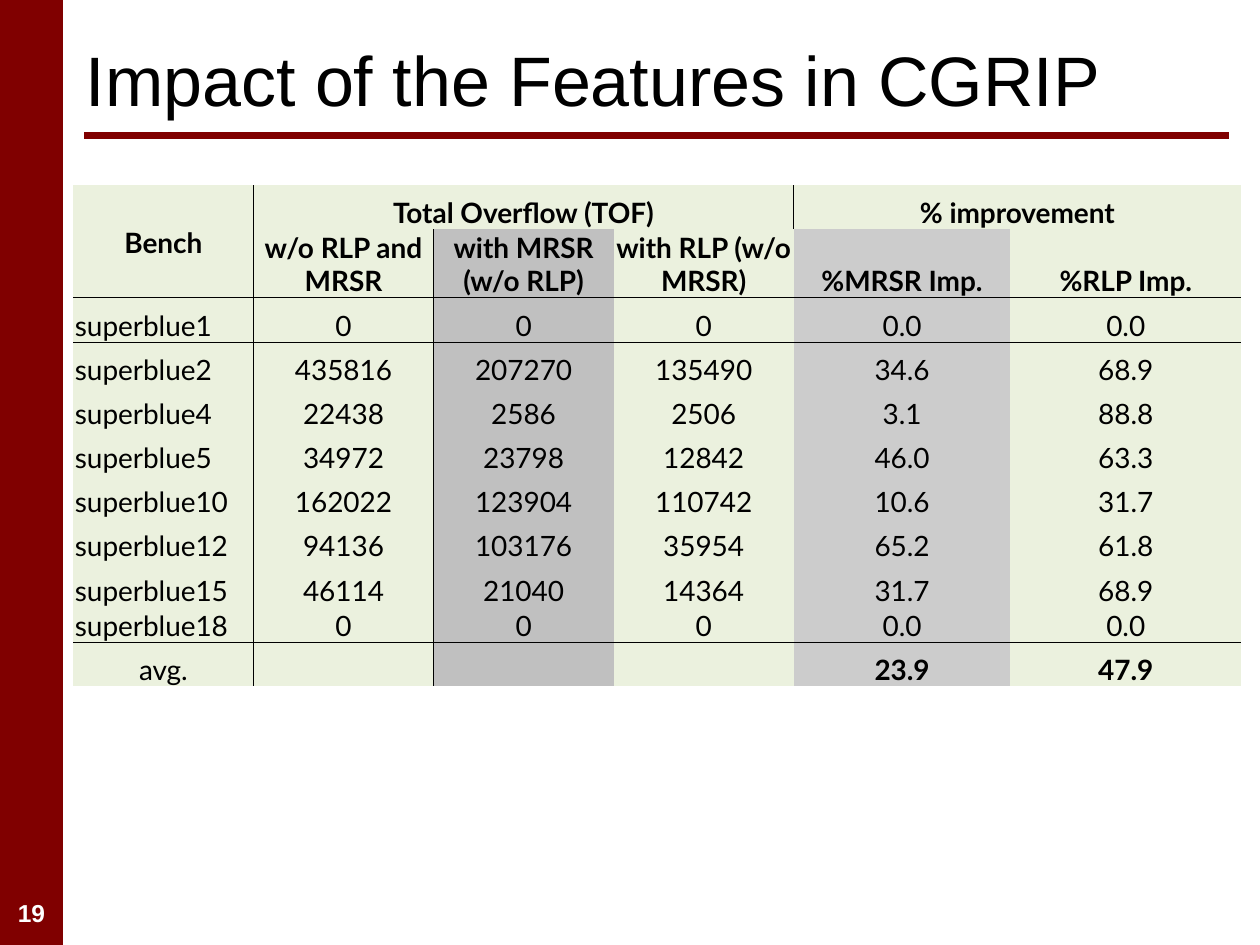
from lxml.etree import SubElement
from pptx import Presentation
from pptx.dml.color import RGBColor
from pptx.enum.shapes import MSO_CONNECTOR, MSO_SHAPE
from pptx.enum.text import MSO_ANCHOR, PP_ALIGN
from pptx.oxml.ns import qn
from pptx.util import Cm, Pt

MAROON, BLACK, WHITE = "800000", "000000", "FFFFFF"
GREEN = "EBF1DE"
COLUMN_FILLS = [GREEN, GREEN, "C0C0C0", GREEN, "CCCCCC", GREEN]
COLUMN_WIDTHS = [3.63, 3.63, 3.63, 3.63, 4.37, 4.65]
ROW_HEIGHTS = [0.89, 1.37] + [0.89] * 7 + [0.7, 0.89]
NO_GRID_STYLE = "{2D5ABB26-0587-4C30-8999-92F81FD0307C}"
ROWS = [
    ["Bench", "Total Overflow (TOF)", "", "", "% improvement", ""],
    ["", "w/o RLP and MRSR", "with MRSR (w/o RLP)", "with RLP (w/o MRSR)", "%MRSR Imp.", "%RLP Imp."],
    ["superblue1", "0", "0", "0", "0.0", "0.0"],
    ["superblue2", "435816", "207270", "135490", "34.6", "68.9"],
    ["superblue4", "22438", "2586", "2506", "3.1", "88.8"],
    ["superblue5", "34972", "23798", "12842", "46.0", "63.3"],
    ["superblue10", "162022", "123904", "110742", "10.6", "31.7"],
    ["superblue12", "94136", "103176", "35954", "65.2", "61.8"],
    ["superblue15", "46114", "21040", "14364", "31.7", "68.9"],
    ["superblue18", "0", "0", "0", "0.0", "0.0"],
    ["avg.", "", "", "", "23.9", "47.9"],
]
MERGES = [(0, 0, 1, 0), (0, 1, 0, 3), (0, 4, 0, 5)]
LAST_HEADER, LAST_BENCH, AVERAGE = 1, 9, 10


def color(value):
    """Turn a hex string into a colour."""
    return RGBColor.from_string(value)


def style_paragraph(paragraph, font, size, ink=BLACK, bold=False, align=PP_ALIGN.LEFT):
    """Set the font and alignment of a paragraph."""
    paragraph.alignment = align
    paragraph.font.name = font
    paragraph.font.size = Pt(size)
    paragraph.font.bold = bold
    paragraph.font.color.rgb = color(ink)


def add_text(page, text, left, top, width, height, size, **style):
    """Add a wrapped, vertically centred Arial text box."""
    frame = page.shapes.add_textbox(Cm(left), Cm(top), Cm(width), Cm(height)).text_frame
    frame.word_wrap = True
    frame.vertical_anchor = MSO_ANCHOR.MIDDLE
    frame.text = text
    style_paragraph(frame.paragraphs[0], "Arial", size, **style)


def add_side_bar(page):
    """Add the maroon band along the left edge."""
    bar = page.shapes.add_shape(MSO_SHAPE.RECTANGLE, 0, 0, Cm(1.27), Cm(19.05))
    bar.shadow.inherit = False
    bar.fill.solid()
    bar.fill.fore_color.rgb = color(MAROON)
    bar.line.fill.background()


def add_title_rule(page):
    """Add the thick line below the title."""
    rule = page.shapes.add_connector(MSO_CONNECTOR.STRAIGHT, Cm(1.7), Cm(2.74), Cm(24.77), Cm(2.74))
    rule.line.color.rgb = color(MAROON)
    rule.line.width = Pt(4)
    SubElement(rule._element.spPr, qn("a:effectLst"))


def add_borders(cell, sides):
    """Draw thin black borders on the named sides of a cell."""
    properties = cell._tc.get_or_add_tcPr()
    for side in sides:
        line = SubElement(properties, qn(f"a:ln{side}"), w=str(Pt(0.5)))
        fill = SubElement(line, qn("a:solidFill"))
        SubElement(fill, qn("a:srgbClr"), val=BLACK)


def border_sides(cell, row, column):
    """Name the sides of a cell that lie on a dividing line, in schema order."""
    last_row = row + cell.span_height - 1
    last_column = column + cell.span_width - 1
    on_line = {
        "L": column == 1 or (row == 0 and column == 4),
        "R": last_column == 0 or (row == 0 and last_column == 3),
        "T": row in (LAST_HEADER + 1, AVERAGE),
        "B": last_row in (LAST_HEADER, LAST_BENCH),
    }
    return [side for side, drawn in on_line.items() if drawn]


def fill_cell(cell, row, column):
    """Set the text, borders and fill of one table cell."""
    header = row <= LAST_HEADER
    cell.margin_left = cell.margin_right = cell.margin_top = Cm(0.03)
    cell.margin_bottom = 0
    cell.vertical_anchor = MSO_ANCHOR.MIDDLE if cell.span_height > 1 else MSO_ANCHOR.BOTTOM
    cell.text = ROWS[row][column]
    bench_name = column == 0 and LAST_HEADER < row <= LAST_BENCH
    style_paragraph(
        cell.text_frame.paragraphs[0], "Lato", 16,
        bold=header or (row == AVERAGE and column > 0),
        align=PP_ALIGN.LEFT if bench_name else PP_ALIGN.CENTER,
    )
    add_borders(cell, border_sides(cell, row, column))
    cell.fill.solid()
    cell.fill.fore_color.rgb = color(GREEN if row == 0 else COLUMN_FILLS[column])


def add_overflow_table(page):
    """Add the table of overflow results for each benchmark."""
    table = page.shapes.add_table(
        len(ROWS), len(COLUMN_WIDTHS), Cm(1.48), Cm(3.73),
        Cm(sum(COLUMN_WIDTHS)), Cm(sum(ROW_HEIGHTS)),
    ).table
    table.first_row = table.horz_banding = False
    table._tbl.tblPr.find(qn("a:tableStyleId")).text = NO_GRID_STYLE
    for column, width in zip(table.columns, COLUMN_WIDTHS):
        column.width = Cm(width)
    for row, height in zip(table.rows, ROW_HEIGHTS):
        row.height = Cm(height)
    for top, left, bottom, right in MERGES:
        table.cell(top, left).merge(table.cell(bottom, right))
    for row in range(len(ROWS)):
        for column in range(len(COLUMN_WIDTHS)):
            cell = table.cell(row, column)
            fill_cell(cell, row, column)


def main():
    """Build the slide and save the deck."""
    deck = Presentation()
    deck.slide_width, deck.slide_height = Cm(25.4), Cm(19.05)
    page = deck.slides.add_slide(deck.slide_layouts[6])
    add_side_bar(page)
    add_title_rule(page)
    add_text(page, "19", 0, 17.98, 1.27, 0.84, 14, ink=WHITE, bold=True, align=PP_ALIGN.CENTER)
    add_text(page, "Impact of the Features in CGRIP", 1.48, 0.21, 23.28, 2.75, 40)
    add_overflow_table(page)
    deck.save("out.pptx")


if __name__ == "__main__":
    main()
